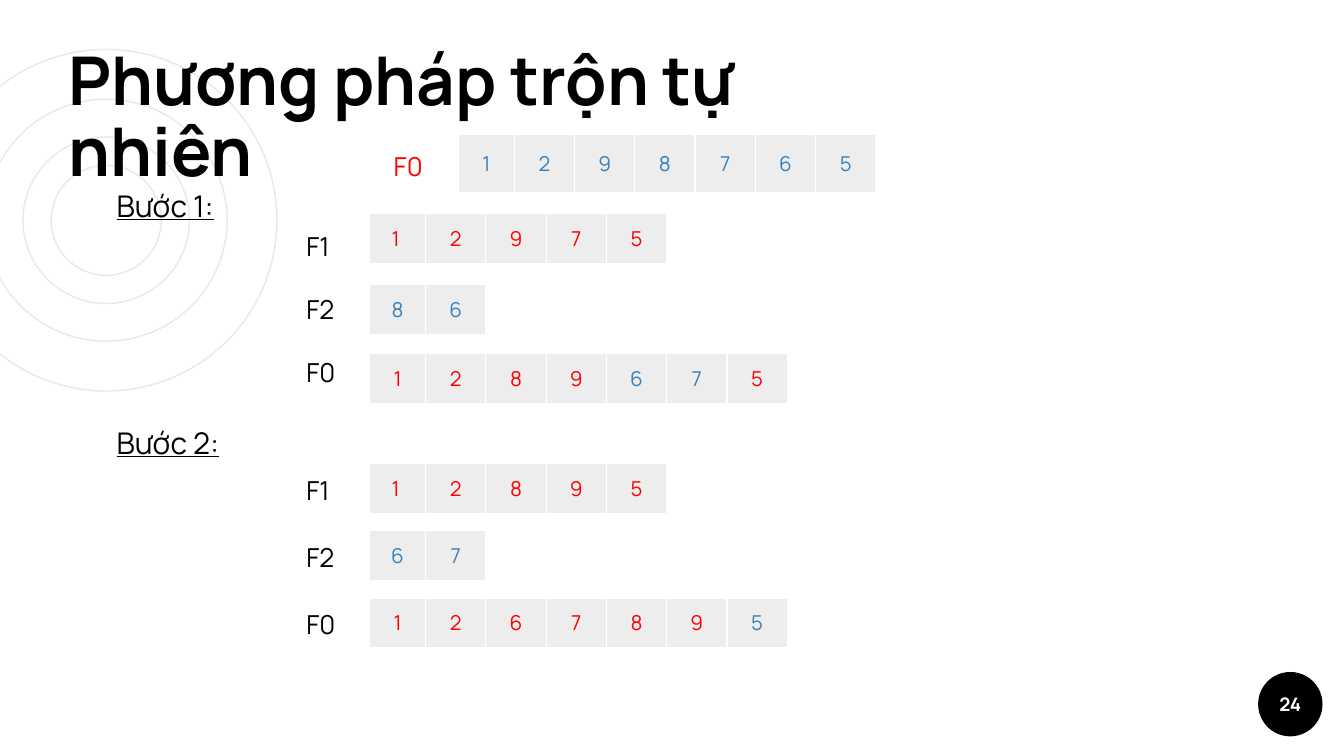
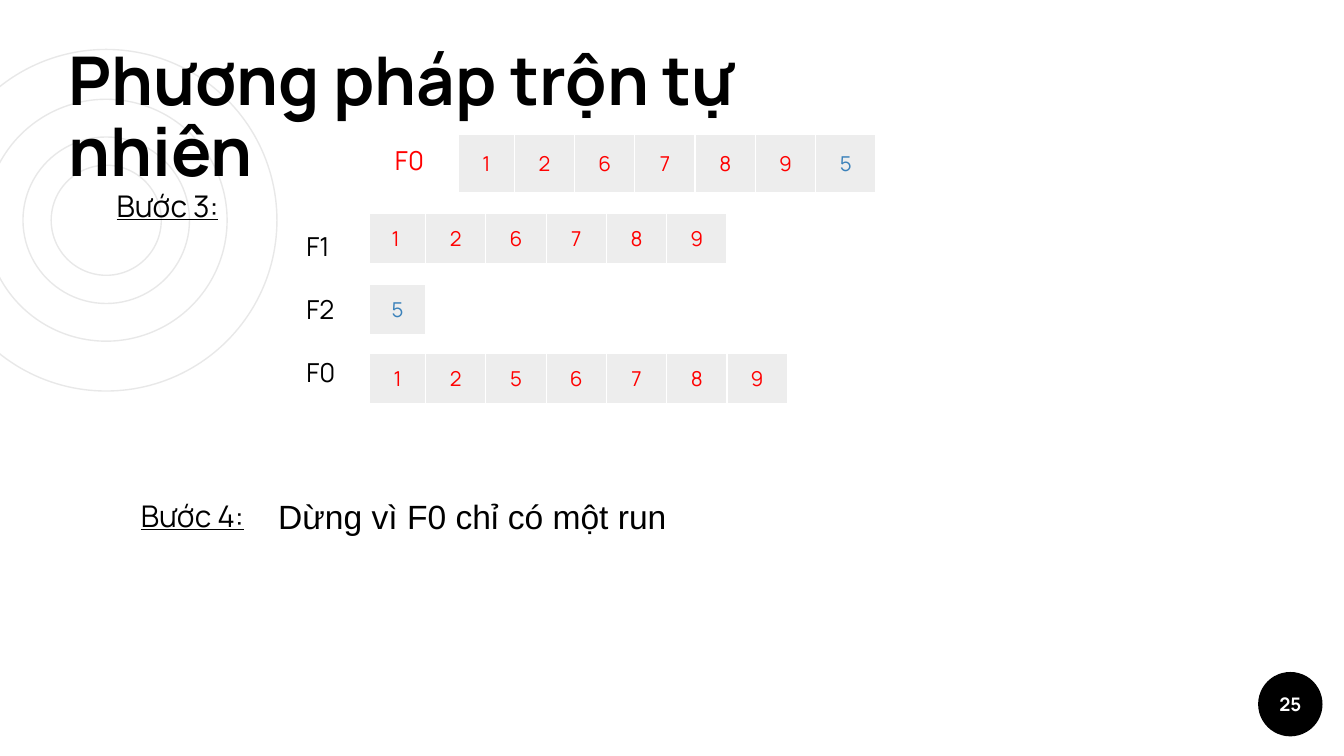
from lxml import etree
from pptx import Presentation
from pptx.dml.color import RGBColor
from pptx.enum import shapes, text
from pptx.oxml import ns
from pptx.util import Pt

BLACK = RGBColor(0, 0, 0)
WHITE = RGBColor(255, 255, 255)
RED = RGBColor(255, 0, 0)
BLUE = RGBColor(0x3A, 0x81, 0xBA)
GREY = RGBColor(0xE8, 0xE8, 0xE8)
FONT = "Manrope"
TITLE = "Phương pháp trộn tự nhiên"
RINGS = (183, 89.2, 129.6, 59)
RING_X, RING_Y = 56.9, 118
FIRST, NEXT = 30, 32.3
TAG_X, ROW_X, TOP_X = 157, 198, 245.5
ROW_H, TOP_H = 26.6, 31


def add_run(par, words, size, color=BLACK, font=FONT, bold=False, under=False):
    run = par.add_run()
    run.text = words
    face = run.font
    face.name, face.size = font, Pt(size)
    face.bold, face.underline = bold, under
    face.color.rgb = color


def add_box(slide, x, y, wide, high):
    box = slide.shapes.add_textbox(Pt(x), Pt(y), Pt(wide), Pt(high))
    box.text_frame.word_wrap = True
    return box.text_frame


def add_disc(slide, x, y, size, fill=None, line=None):
    disc = slide.shapes.add_shape(shapes.MSO_SHAPE.OVAL, Pt(x), Pt(y), Pt(size), Pt(size))
    disc.shadow.inherit = False
    if fill is None:
        disc.fill.background()
    else:
        disc.fill.solid()
        disc.fill.fore_color.rgb = fill
    if line is None:
        disc.line.fill.background()
    else:
        disc.line.color.rgb = line
        disc.line.width = Pt(0.75)
    return disc


def add_base(deck, page):
    slide = deck.slides.add_slide(deck.slide_layouts[6])
    for size in RINGS:
        add_disc(slide, RING_X - size / 2, RING_Y - size / 2, size, line=GREY)

    frame = add_box(slide, 29.5, 51, 411, 54)
    frame.vertical_anchor = text.MSO_ANCHOR.BOTTOM
    frame.margin_left = frame.margin_right = frame.margin_top = Pt(7.2)
    frame.margin_bottom = Pt(3)
    par = frame.paragraphs[0]
    par.line_spacing = 0.88
    add_run(par, TITLE, 36, bold=True)

    frame = add_disc(slide, 674, 360, 34.5, fill=BLACK).text_frame
    frame.margin_left = frame.margin_right = 0
    frame.vertical_anchor = text.MSO_ANCHOR.MIDDLE
    par = frame.paragraphs[0]
    par.alignment = text.PP_ALIGN.CENTER
    add_run(par, page, 10, WHITE, bold=True)
    return slide


def add_step(slide, words, x, y):
    add_run(add_box(slide, x, y, 73.5, 26.6).paragraphs[0], words, 16, under=True)


def add_tag(slide, words, x, y, color=BLACK):
    par = add_box(slide, x, y, 69, 24.5).paragraphs[0]
    add_run(par, words, 14, color)
    if words == "F1":
        add_run(par, " ", 16)


def style_cell(cell):
    props = cell._tc.get_or_add_tcPr()
    for side in ("lnL", "lnR", "lnT", "lnB"):
        edge = etree.SubElement(props, ns.qn("a:" + side), w=str(Pt(0.75)))
        paint = etree.SubElement(edge, ns.qn("a:solidFill"))
        etree.SubElement(paint, ns.qn("a:srgbClr"), val=str(WHITE))
    cell.fill.solid()
    cell.fill.fore_color.rgb = BLACK
    shade = props.find(ns.qn("a:solidFill")).find(ns.qn("a:srgbClr"))
    etree.SubElement(shade, ns.qn("a:alpha"), val="7000")
    cell.margin_top = cell.margin_bottom = Pt(5)
    cell.margin_left = cell.margin_right = Pt(7.2)
    cell.vertical_anchor = text.MSO_ANCHOR.MIDDLE


def add_row(slide, x, y, high, parts):
    items = [(word, color) for color, words in parts for word in words.split(",")]
    wide = FIRST + NEXT * (len(items) - 1)
    table = slide.shapes.add_table(1, len(items), Pt(x), Pt(y), Pt(wide), Pt(high)).table
    table.first_row = table.horz_banding = False
    table.rows[0].height = Pt(high)
    for spot, (word, color) in enumerate(items):
        table.columns[spot].width = Pt(NEXT if spot else FIRST)
        cell = table.cell(0, spot)
        style_cell(cell)
        par = cell.text_frame.paragraphs[0]
        par.alignment = text.PP_ALIGN.CENTER
        add_run(par, word, 11, color)


def add_files(slide, tag_tops, row_tops, files):
    for name, tag_y, row_y, parts in zip(("F1", "F2", "F0"), tag_tops, row_tops, files):
        add_tag(slide, name, TAG_X, tag_y)
        add_row(slide, ROW_X, row_y, ROW_H, parts)


def main():
    deck = Presentation()
    deck.slide_width, deck.slide_height = Pt(720), Pt(405)
    upper = (118, 153.4, 187.2), (114.5, 152.6, 189.4)
    lower = (248.4, 286.6, 322.6), (248.4, 284.4, 320.4)

    slide = add_base(deck, "24")
    add_row(slide, TOP_X, 72, TOP_H, [(BLUE, "1,2,9,8,7,6,5")])
    add_tag(slide, "F0", 203.8, 77, RED)
    add_step(slide, "Bước 1:", 55.4, 97.2)
    add_files(slide, *upper, [
        [(RED, "1 ,2,9,7,5")],
        [(BLUE, "8,6")],
        [(RED, "1,2,8,9"), (BLUE, "6,7"), (RED, "5")],
    ])
    add_step(slide, "Bước 2:", 55.4, 224)
    add_files(slide, *lower, [
        [(RED, "1 ,2,8,9,5")],
        [(BLUE, "6,7")],
        [(RED, "1,2,6,7,8,9"), (BLUE, "5")],
    ])

    slide = add_base(deck, "25")
    add_row(slide, TOP_X, 72, TOP_H, [(RED, "1,2,6,7,8,9"), (BLUE, "5")])
    add_tag(slide, "F0", 204.5, 74, RED)
    add_step(slide, "Bước 3:", 55.4, 97.2)
    add_files(slide, *upper, [
        [(RED, "1 ,2,6,7,8,9")],
        [(BLUE, "5")],
        [(RED, "1,2,5,6,7,8,9")],
    ])
    add_step(slide, "Bước 4:", 68.4, 263)
    par = add_box(slide, 142, 262, 285, 29).paragraphs[0]
    add_run(par, "Dừng vì F0 chỉ có một run", 18, font="Arial")

    deck.save("out.pptx")


if __name__ == "__main__":
    main()
